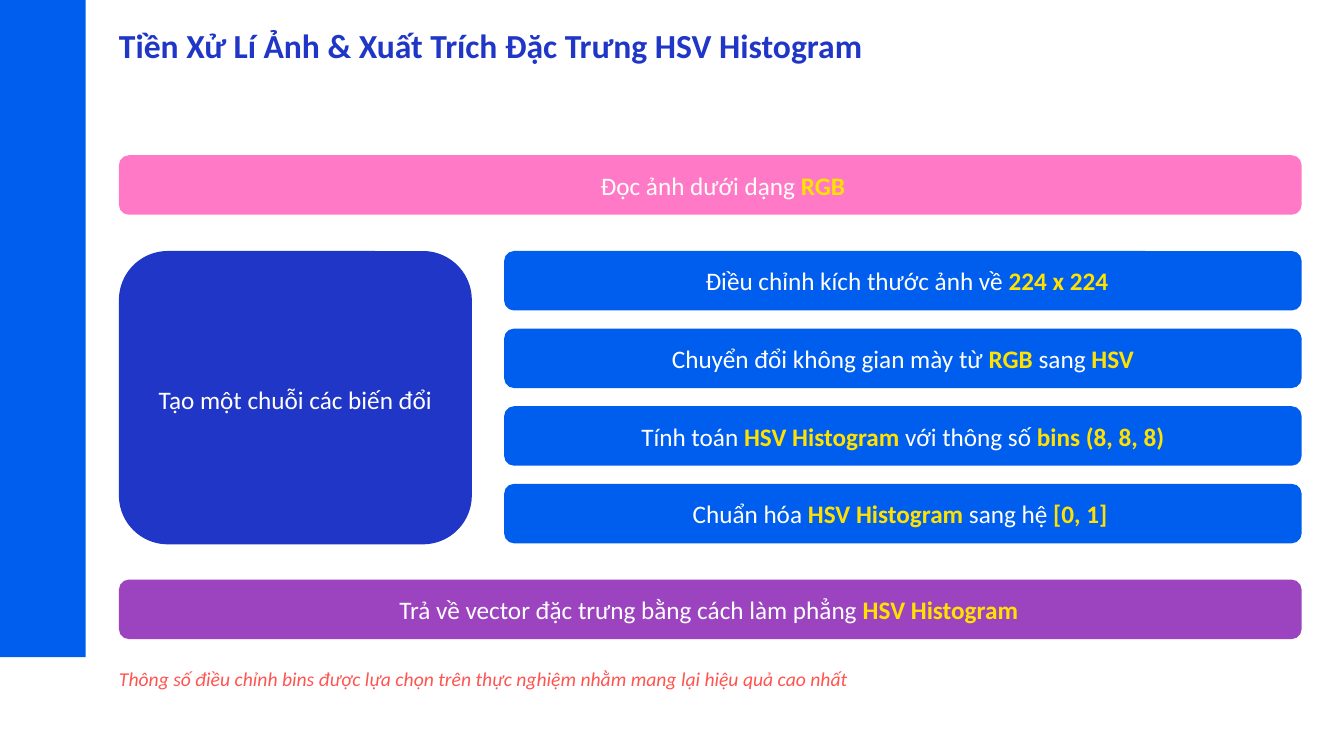
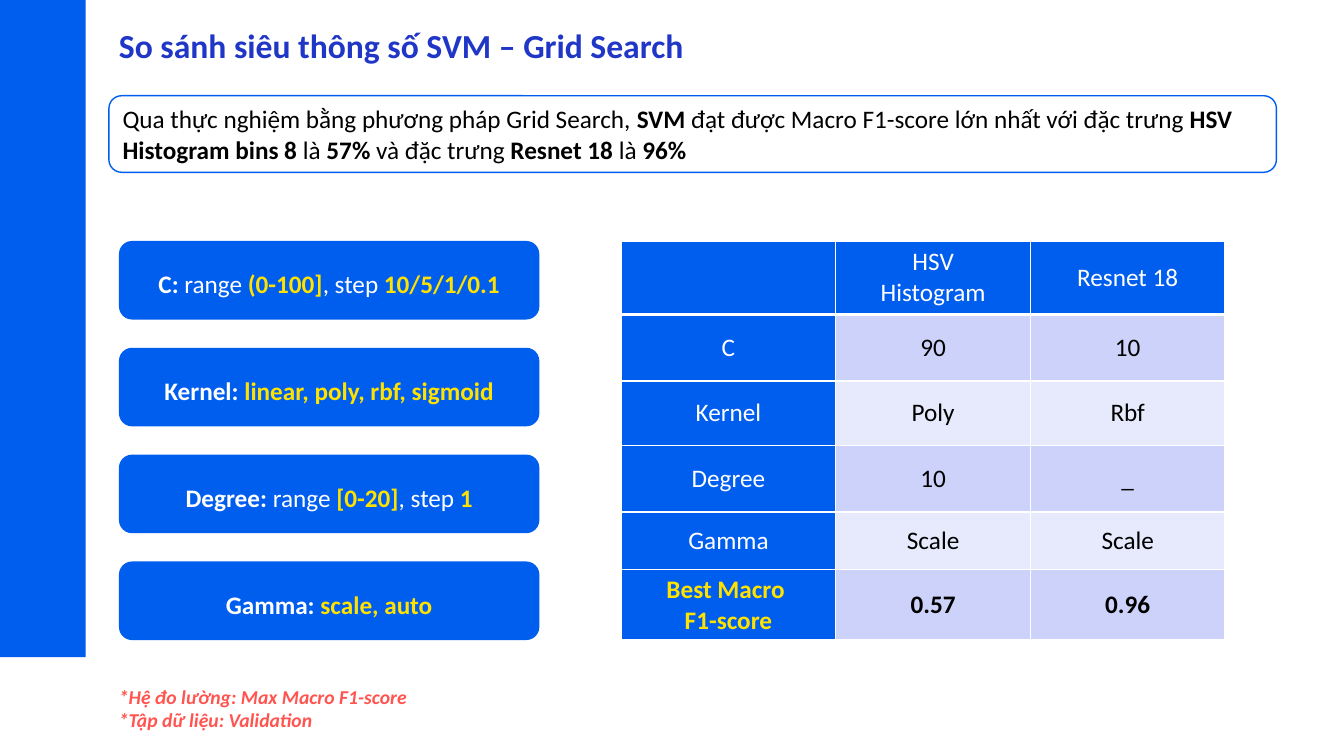
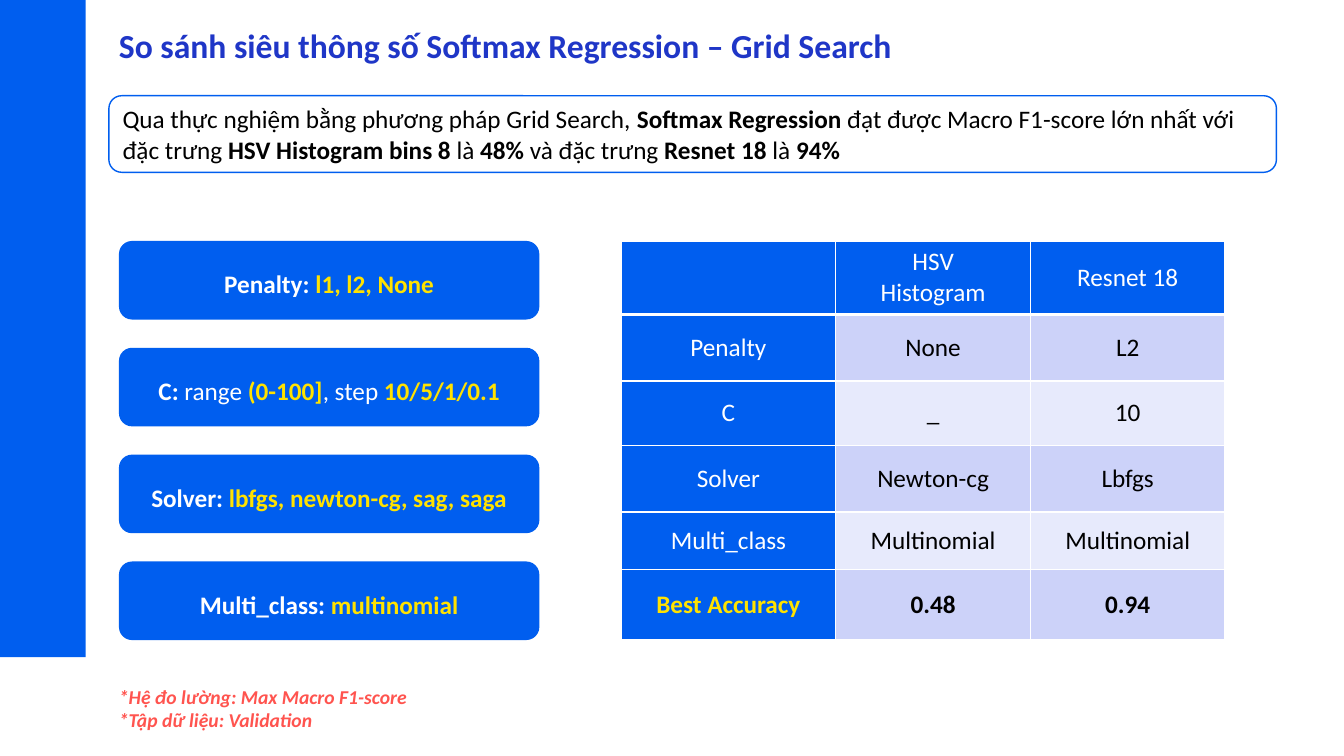
from dataclasses import dataclass

import pptx
import pptx.dml.color
import pptx.dml.fill
import pptx.enum.shapes
import pptx.enum.text
import pptx.oxml.ns
import pptx.presentation
import pptx.shapes.autoshape
import pptx.slide
import pptx.table
import pptx.text.text
import pptx.util
from lxml import etree

Inches = pptx.util.Inches
Shape = pptx.enum.shapes.MSO_SHAPE
Align = pptx.enum.text.PP_ALIGN
Anchor = pptx.enum.text.MSO_ANCHOR
qn = pptx.oxml.ns.qn

# Shared style
FONT = "Calibri"
BLUE, NAVY, PINK, PURPLE = "005EEF", "1F36C7", "FF79C6", "9C44C0"
WHITE, BLACK, YELLOW, RED = "FFFFFF", "000000", "FFE200", "FF544F"
STRIPES = ("CCD2F9", "E7EAFC")
LEFT = 1.18
BODY_SIZE = 18


@dataclass(frozen=True)
class Span:
    text: str
    color: str = WHITE
    bold: bool = False
    italic: bool = False


@dataclass(frozen=True)
class Box:
    left: float
    top: float
    width: float
    height: float


@dataclass(frozen=True)
class Insets:
    left: float = 0
    top: float = 0
    right: float = 0
    bottom: float = 0


@dataclass(frozen=True)
class Bar:
    box: Box
    fill: str
    spans: list[Span]
    insets: Insets = Insets()


@dataclass(frozen=True)
class Comparison:
    model: str
    hsv_score: str
    resnet_score: str
    ranges: list[list[Span]]
    rows: list[tuple[str, str, str]]


def key(text: str) -> Span:
    return Span(text, YELLOW, bold=True)


def label(text: str) -> Span:
    return Span(text, bold=True)


def rgb(color: str) -> pptx.dml.color.RGBColor:
    return pptx.dml.color.RGBColor.from_string(color)


def paint(fill: pptx.dml.fill.FillFormat, color: str) -> None:
    fill.solid()
    fill.fore_color.rgb = rgb(color)


# Text
def write(frame: pptx.text.text.TextFrame, paras: list[list[Span]],
          size: int = BODY_SIZE, align: Align = Align.LEFT) -> None:
    for index, spans in enumerate(paras):
        para = frame.add_paragraph() if index else frame.paragraphs[0]
        para.alignment = align
        for span in spans:
            run = para.add_run()
            run.text = span.text
            run.font.name = FONT
            run.font.size = pptx.util.Pt(size)
            run.font.bold = span.bold
            run.font.italic = span.italic
            run.font.color.rgb = rgb(span.color)


def set_insets(frame: pptx.text.text.TextFrame, insets: Insets) -> None:
    frame.margin_left = Inches(insets.left)
    frame.margin_top = Inches(insets.top)
    frame.margin_right = Inches(insets.right)
    frame.margin_bottom = Inches(insets.bottom)


def place(box: Box) -> tuple[int, int, int, int]:
    return Inches(box.left), Inches(box.top), Inches(box.width), Inches(box.height)


def add_text(page: pptx.slide.Slide, box: Box, paras: list[list[Span]], size: int) -> None:
    frame = page.shapes.add_textbox(*place(box)).text_frame
    frame.word_wrap = True
    set_insets(frame, Insets())
    write(frame, paras, size)


# Shapes
def add_block(page: pptx.slide.Slide, kind: Shape, box: Box,
              fill: str) -> pptx.shapes.autoshape.Shape:
    shape = page.shapes.add_shape(kind, *place(box))
    shape.shadow.inherit = False
    paint(shape.fill, fill)
    shape.line.fill.background()
    shape.text_frame.word_wrap = True
    shape.text_frame.vertical_anchor = Anchor.MIDDLE
    return shape


def add_bar(page: pptx.slide.Slide, bar: Bar) -> None:
    frame = add_block(page, Shape.ROUNDED_RECTANGLE, bar.box, bar.fill).text_frame
    set_insets(frame, bar.insets)
    write(frame, [bar.spans], align=Align.CENTER)


def add_page(deck: pptx.presentation.Presentation, title: str) -> pptx.slide.Slide:
    page = deck.slides.add_slide(deck.slide_layouts[6])
    add_text(page, Box(LEFT, 0.25, 11.7, 0.42), [[Span(title, NAVY, bold=True)]], 24)
    add_block(page, Shape.RECTANGLE, Box(0, 0, 0.85, 6.52), BLUE)
    return page


# Table
def add_borders(cell: pptx.table._Cell, widths: dict[str, int]) -> None:
    properties = cell._tc.get_or_add_tcPr()
    for side, points in widths.items():
        line = etree.SubElement(properties, qn(f"a:ln{side}"), w=str(pptx.util.Pt(points)))
        solid = etree.SubElement(line, qn("a:solidFill"))
        etree.SubElement(solid, qn("a:srgbClr"), val=WHITE)


def add_results(page: pptx.slide.Slide, body: list[tuple[str, str, str]]) -> None:
    rows = [("", "HSV\nHistogram", "Resnet 18"), *body]
    widths = (2.13, 1.93, 1.93)
    heights = (0.73, 0.66, 0.64, 0.66, 0.57, 0.7)
    box = Box(6.16, 2.39, sum(widths), sum(heights))
    table = page.shapes.add_table(len(rows), len(widths), *place(box)).table
    for column, width in zip(table.columns, widths):
        column.width = Inches(width)
    for row, height in zip(table.rows, heights):
        row.height = Inches(height)

    last = len(rows) - 1
    for r, values in enumerate(rows):
        for c, value in enumerate(values):
            cell = table.cell(r, c)
            heading = r == 0 or c == 0
            add_borders(cell, {"L": 1, "R": 1, "T": 3 if r == 1 else 1, "B": 3 if r == 0 else 1})
            paint(cell.fill, BLUE if heading else STRIPES[(r - 1) % 2])
            cell.vertical_anchor = Anchor.MIDDLE
            color = BLACK if not heading else YELLOW if r == last else WHITE
            if value:
                lines = [[Span(line, color, bold=r == last)] for line in value.split("\n")]
                write(cell.text_frame, lines, align=Align.CENTER)


# Slides
def build_preprocessing(deck: pptx.presentation.Presentation) -> None:
    page = add_page(deck, "Tiền Xử Lí Ảnh & Xuất Trích Đặc Trưng HSV Histogram")
    height = 0.59
    steps = [
        [Span("Điều chỉnh kích thước ảnh về "), key("224 x 224")],
        [Span("Chuyển đổi không gian mày từ "), key("RGB "), Span("sang "), key("HSV")],
        [Span("Tính toán "), key("HSV Histogram"), Span(" với thông số "), key("bins (8, 8, 8)")],
        [Span("Chuẩn hóa "), key("HSV Histogram "), Span("sang hệ "), key("[0, 1] ")],
    ]
    bars = [
        Bar(Box(LEFT, 1.54, 11.73, height), PINK,
            [Span("Đọc ảnh dưới dạng "), key("RGB")], Insets(left=0.25)),
        Bar(Box(LEFT, 2.49, 3.5, 2.91), NAVY,
            [Span("Tạo một chuỗi các biến đổi")], Insets(top=0.04)),
        *(Bar(Box(5, 2.49 + 0.77 * index, 7.91, height), BLUE, spans,
              Insets(left=0 if index else 0.08))
          for index, spans in enumerate(steps)),
        Bar(Box(LEFT, 5.75, 11.73, height), PURPLE,
            [Span("Trả về vector đặc trưng bằng cách làm phẳng "), key("HSV Histogram")],
            Insets(right=0.03)),
    ]
    for bar in bars:
        add_bar(page, bar)
    note = "Thông số điều chỉnh bins được lựa chọn trên thực nghiệm nhằm mang lại hiệu quả cao nhất"
    add_text(page, Box(LEFT, 6.62, 11.62, 0.23), [[Span(note, RED, italic=True)]], 14)


def build_comparison(deck: pptx.presentation.Presentation, comparison: Comparison) -> None:
    page = add_page(deck, f"So sánh siêu thông số {comparison.model} – Grid Search")
    add_results(page, comparison.rows)

    for index, spans in enumerate(comparison.ranges):
        box = Box(LEFT, 2.39 + 1.06 * index, 4.17, 0.78)
        add_bar(page, Bar(box, BLUE, spans, Insets(top=0.07)))

    # Summary: every second span is bold
    summary = add_block(page, Shape.ROUNDED_RECTANGLE, Box(1.08, 0.95, 11.58, 0.76), WHITE)
    summary.line.color.rgb = rgb(BLUE)
    summary.line.width = pptx.util.Pt(1)
    texts = [
        "Qua thực nghiệm bằng phương pháp Grid Search, ", comparison.model,
        " đạt được Macro F1-score lớn nhất với đặc trưng ", "HSV Histogram bins 8",
        " là ", comparison.hsv_score, " và đặc trưng ", "Resnet 18 ",
        "là ", comparison.resnet_score,
    ]
    spans = [Span(text, BLACK, bold=index % 2 == 1) for index, text in enumerate(texts)]
    write(summary.text_frame, [spans])

    notes = ["*Hệ đo lường: Max Macro F1-score", "*Tập dữ liệu: Validation"]
    add_text(page, Box(LEFT, 6.79, 3.32, 0.49),
             [[Span(note, RED, bold=True, italic=True)] for note in notes], 14)


C_RANGE = [label("C:"), Span(" range "), key("(0-100]"), Span(", step "), key("10/5/1/0.1")]

COMPARISONS = [
    Comparison(
        "SVM", "57%", "96%",
        [
            C_RANGE,
            [label("Kernel: "), key("linear, poly, rbf, sigmoid")],
            [label("Degree: "), Span("range "), key("[0-20]"), Span(", step "), key("1")],
            [label("Gamma: "), key("scale, auto")],
        ],
        [
            ("C", "90", "10"),
            ("Kernel", "Poly", "Rbf"),
            ("Degree", "10", "_"),
            ("Gamma", "Scale", "Scale"),
            ("Best Macro \nF1-score", "0.57", "0.96"),
        ],
    ),
    Comparison(
        "Softmax Regression", "48%", "94%",
        [
            [label("Penalty: "), key("l1, l2, None")],
            C_RANGE,
            [label("Solver: "), key("lbfgs, newton-cg, sag, saga")],
            [label("Multi_class: "), key("multinomial")],
        ],
        [
            ("Penalty", "None", "L2"),
            ("C", "_", "10"),
            ("Solver", "Newton-cg", "Lbfgs"),
            ("Multi_class", "Multinomial", "Multinomial"),
            ("Best Accuracy", "0.48", "0.94"),
        ],
    ),
]


def main() -> None:
    deck = pptx.Presentation()
    deck.slide_width = Inches(13.33)
    deck.slide_height = Inches(7.5)
    build_preprocessing(deck)
    for comparison in COMPARISONS:
        build_comparison(deck, comparison)
    deck.save("out.pptx")


if __name__ == "__main__":
    main()
